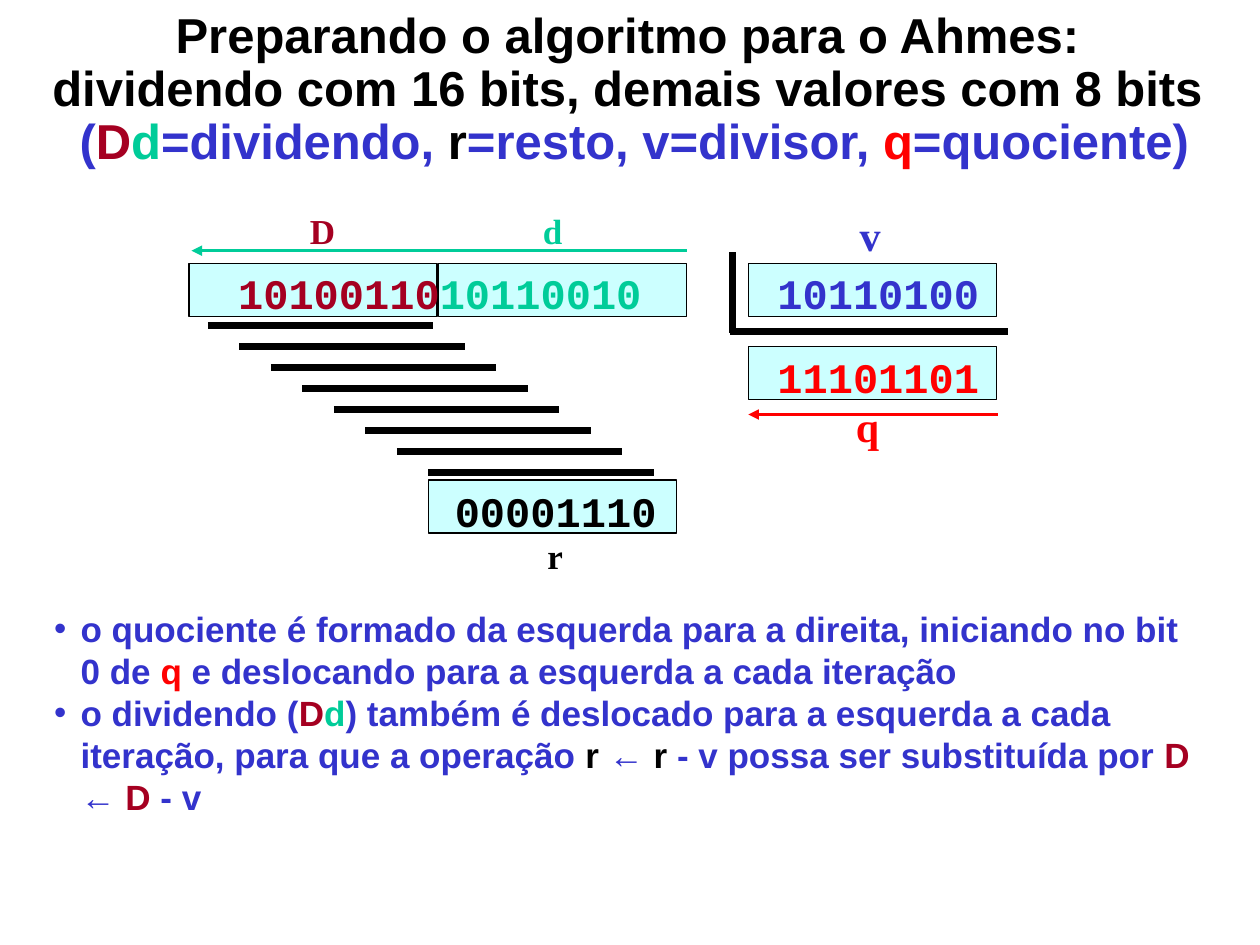
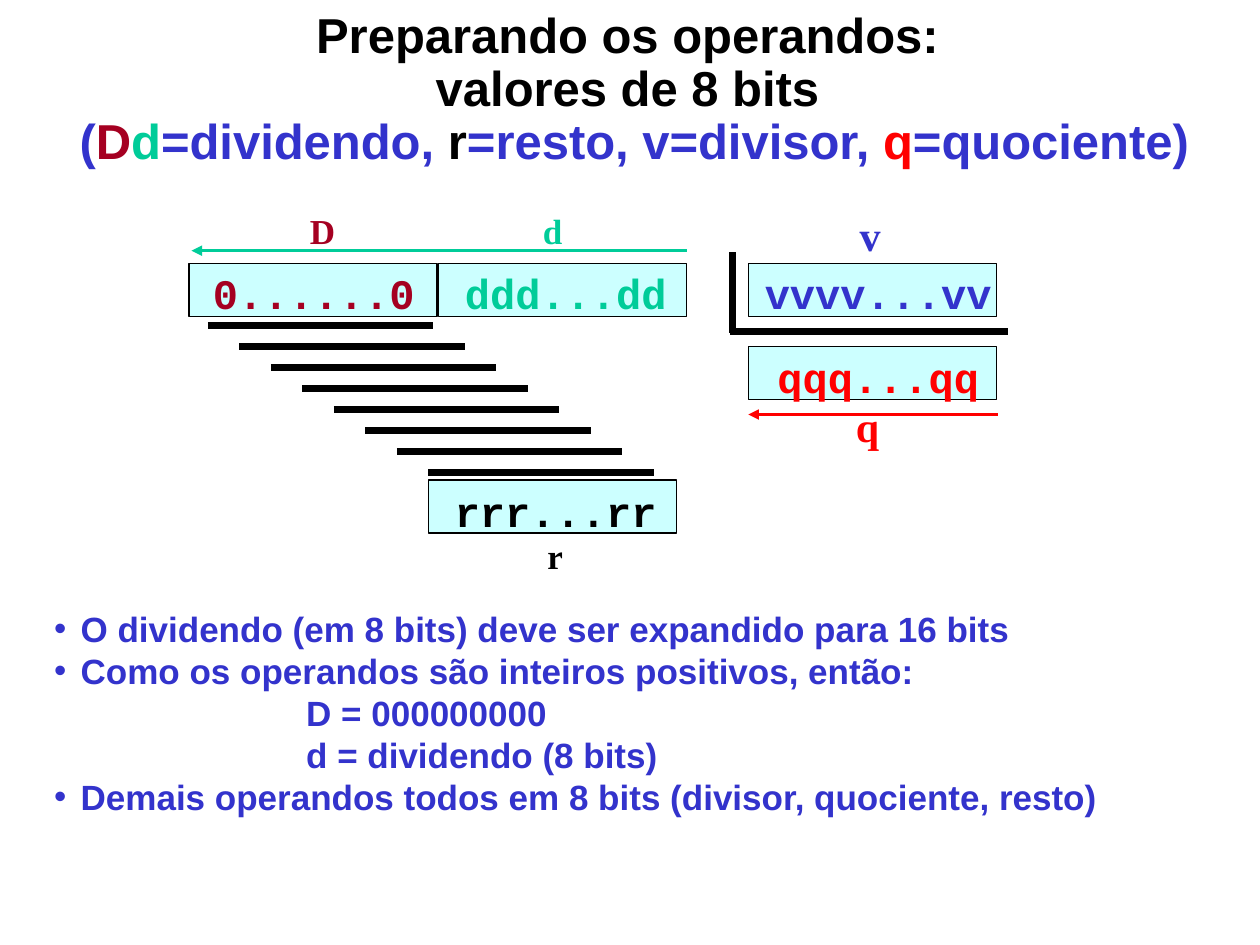
"""Builds two slides on preparing operands for binary division on the Ahmes machine."""
from dataclasses import dataclass
from typing import NamedTuple

import pptx
import pptx.dml.color
import pptx.enum.shapes
import pptx.enum.text
import pptx.oxml.ns
import pptx.util
from lxml import etree

Inches = pptx.util.Inches
Pt = pptx.util.Pt
RGB = pptx.dml.color.RGBColor.from_string
qn = pptx.oxml.ns.qn
ALIGN = pptx.enum.text.PP_ALIGN
ANCHOR = pptx.enum.text.MSO_ANCHOR


@dataclass(frozen=True)
class Theme:
    black: str = "000000"
    blue: str = "3333CC"
    wine: str = "A50021"
    green: str = "00CC99"
    red: str = "FF0000"
    cell: str = "CCFFFF"
    sans: str = "Arial"
    mono: str = "Courier New"
    serif: str = "Times New Roman"
    title: int = 28
    digits: int = 24
    body: int = 20
    thin: float = 0.75
    arrow: float = 2
    thick: float = 4


T = Theme()


class Span(NamedTuple):
    text: str
    color: str = T.blue


class Item(NamedTuple):
    spans: list[Span]
    bullet: bool = True


class Box(NamedTuple):
    left: float
    top: float
    width: float
    height: float


class Label(NamedTuple):
    text: str
    color: str
    left: float
    top: float
    size: int


class Line(NamedTuple):
    start: tuple[float, float]
    end: tuple[float, float]
    color: str = T.black
    width: float = T.thick
    arrow: bool = False


@dataclass(frozen=True)
class Division:
    heading: str
    dividend: list[Span]
    dividend_left: float
    divisor: str
    quotient: str
    remainder: str
    items: list[Item]


LEGEND = [Span("("), Span("D", T.wine), Span("d", T.green), Span("=dividendo, "),
          Span("r", T.black), Span("=resto, v=divisor, "), Span("q", T.red),
          Span("=quociente)")]

CELL_SIZE = (1.97, 0.42)
CELLS = [(3.4, 3.81), (3.48, 2.09), (1.5, 2.09), (5.94, 2.09), (5.94, 2.75)]
DIVIDEND_BOX = Box(1.52, 2.1, 3.94, 0.4)
LOW_HALF_TAB = 2.0

LABELS = [
    Label("D", T.wine, 2.46, 1.66, T.body),
    Label("d", T.green, 4.29, 1.66, T.body),
    Label("q", T.red, 6.79, 3.18, T.digits),
    Label("r", T.black, 4.31, 4.24, T.body),
    Label("v", T.blue, 6.81, 1.66, T.digits),
]

BRACKET = [Line((5.81, 2), (5.81, 2.64)), Line((5.79, 2.63), (8, 2.63))]
STEPS = [Line((1.65 + i / 4, 2.58 + i / 6), (3.44 + i / 4, 2.58 + i / 6))
         for i in range(8)]
SHIFTS = [Line((7.92, 3.29), (5.94, 3.29), T.red, T.arrow, True),
          Line((5.45, 1.99), (1.52, 1.99), T.green, T.arrow, True)]

SLIDES = [
    Division(
        "Preparando o algoritmo para o Ahmes:\n"
        "dividendo com 16 bits, demais valores com 8 bits\n ",
        [Span("10100110", T.wine), Span("10110010", T.green)], 1.89,
        "10110100", "11101101", "00001110",
        [
            Item([Span("o quociente é formado da esquerda para a direita, "
                       "iniciando no bit 0 de "), Span("q", T.red),
                  Span(" e deslocando para a esquerda a cada iteração")]),
            Item([Span("o dividendo ("), Span("D", T.wine), Span("d", T.green),
                  Span(") também é deslocado para a esquerda a cada iteração, "
                       "para que a operação "),
                  Span("r ", T.black), Span("← "), Span("r", T.black),
                  Span(" - v possa ser substituída por "),
                  Span("D ", T.wine), Span("← "), Span("D", T.wine), Span(" - v")]),
        ]),
    Division(
        "Preparando os operandos:\nvalores de 8 bits\n ",
        [Span("0......0\t", T.wine), Span("ddd...dd", T.green)], 1.69,
        "vvvv...vv", "qqq...qq", "rrr...rr",
        [
            Item([Span("O dividendo (em 8 bits) deve ser expandido para 16 bits")]),
            Item([Span("Como os operandos são inteiros positivos, então:")]),
            Item([Span("D = 000000000")], bullet=False),
            Item([Span("d = dividendo (8 bits)")], bullet=False),
            Item([Span("Demais operandos todos em 8 bits "
                       "(divisor, quociente, resto)")]),
        ]),
]


def place(sp, box: Box) -> None:
    sp.left, sp.top, sp.width, sp.height = map(Inches, box)


def write(p, spans: list[Span], font: str, size: int) -> None:
    colors = []
    for i, span in enumerate(spans):
        if i == 0:
            p.text = span.text
        else:
            p.add_run().text = span.text
        colors += [span.color] * (len(p.runs) - len(colors))
    for r, color in zip(p.runs, colors):
        r.font.name, r.font.size, r.font.bold = font, Pt(size), True
        r.font.color.rgb = RGB(color)
    for br in p._p.findall(qn("a:br")):
        etree.SubElement(br, qn("a:rPr"), sz=str(size * 100))


def add_title(s, heading: str) -> None:
    sp = s.shapes.title
    place(sp, Box(0.21, 0.02, 9.54, 1.4))
    tf = sp.text_frame
    tf.vertical_anchor = ANCHOR.MIDDLE
    tf.auto_size = pptx.enum.text.MSO_AUTO_SIZE.NONE
    p = tf.paragraphs[0]
    write(p, [Span(heading, T.black)] + LEGEND, T.sans, T.title)
    p.alignment, p.line_spacing = ALIGN.CENTER, 0.9


def set_bullet(p, bullet: bool) -> None:
    pPr = p._p.get_or_add_pPr()
    if bullet:
        pPr.set("marL", str(Inches(0.21)))
        pPr.set("indent", str(-Inches(0.21)))
        clr = etree.SubElement(pPr, qn("a:buClr"))
        etree.SubElement(clr, qn("a:srgbClr"), val=T.blue)
        etree.SubElement(pPr, qn("a:buChar"), char="•")
    else:
        p.level = 4
        pPr.set("marL", str(Inches(2)))
        pPr.set("indent", "0")
        etree.SubElement(pPr, qn("a:buNone"))


def add_items(s, items: list[Item]) -> None:
    sp = s.placeholders[1]
    place(sp, Box(0.33, 4.77, 9.27, 1.77))
    tf = sp.text_frame
    tf.auto_size = pptx.enum.text.MSO_AUTO_SIZE.NONE
    for i, item in enumerate(items):
        p = tf.add_paragraph() if i else tf.paragraphs[0]
        set_bullet(p, item.bullet)
        write(p, item.spans, T.sans, T.body)
        p.space_before = Pt(0)


def add_cell(s, left: float, top: float) -> None:
    sp = s.shapes.add_shape(pptx.enum.shapes.MSO_SHAPE.RECTANGLE,
                            *map(Inches, (left, top, *CELL_SIZE)))
    sp.shadow.inherit = False
    sp.fill.solid()
    sp.fill.fore_color.rgb = RGB(T.cell)
    sp.line.color.rgb = RGB(T.black)
    sp.line.width = Pt(T.thin)


def add_digits(s, box: Box, spans: list[Span]):
    tf = s.shapes.add_textbox(*map(Inches, box)).text_frame
    tf.word_wrap = True
    tf.margin_top = Inches(0.13)
    p = tf.paragraphs[0]
    write(p, spans, T.mono, T.digits)
    p.alignment, p.line_spacing = ALIGN.CENTER, 0.7
    return tf


def add_dividend(s, spans: list[Span], left: float) -> None:
    tf = add_digits(s, DIVIDEND_BOX, spans)
    tf.margin_left = Inches(left - DIVIDEND_BOX.left)
    p = tf.paragraphs[0]
    p.alignment = ALIGN.LEFT
    tabs = etree.SubElement(p._p.get_or_add_pPr(), qn("a:tabLst"))
    etree.SubElement(tabs, qn("a:tab"), pos=str(Inches(LOW_HALF_TAB)), algn="l")


def add_label(s, label: Label) -> None:
    height = 0.4 if label.size == T.digits else 0.33
    tf = s.shapes.add_textbox(
        *map(Inches, (label.left, label.top, 0.19, height))).text_frame
    tf.margin_left = tf.margin_right = tf.margin_top = tf.margin_bottom = 0
    tf.word_wrap = False
    p = tf.paragraphs[0]
    write(p, [Span(label.text, label.color)], T.serif, label.size)
    p.alignment = ALIGN.CENTER


def add_line(s, line: Line) -> None:
    sp = s.shapes.add_connector(pptx.enum.shapes.MSO_CONNECTOR.STRAIGHT,
                                *map(Inches, line.start + line.end))
    sp.line.color.rgb = RGB(line.color)
    sp.line.width = Pt(line.width)
    if line.arrow:
        etree.SubElement(sp.line._get_or_add_ln(), qn("a:tailEnd"), type="triangle")
    etree.SubElement(sp._element.spPr, qn("a:effectLst"))


def add_division(prs, d: Division) -> None:
    s = prs.slides.add_slide(prs.slide_layouts[1])
    add_title(s, d.heading)
    add_items(s, d.items)
    for left, top in CELLS:
        add_cell(s, left, top)
    add_dividend(s, d.dividend, d.dividend_left)
    for left, top, text, color in [(5.94, 2.1, d.divisor, T.blue),
                                   (5.94, 2.77, d.quotient, T.red),
                                   (3.38, 3.83, d.remainder, T.black)]:
        add_digits(s, Box(left, top, 2.06, 0.42), [Span(text, color)])
    for line in BRACKET + STEPS + SHIFTS:
        add_line(s, line)
    for label in LABELS:
        add_label(s, label)


def main() -> None:
    prs = pptx.Presentation()
    prs.slide_width, prs.slide_height = Inches(10), Inches(7.5)
    for division in SLIDES:
        add_division(prs, division)
    prs.save("out.pptx")


if __name__ == "__main__":
    main()
